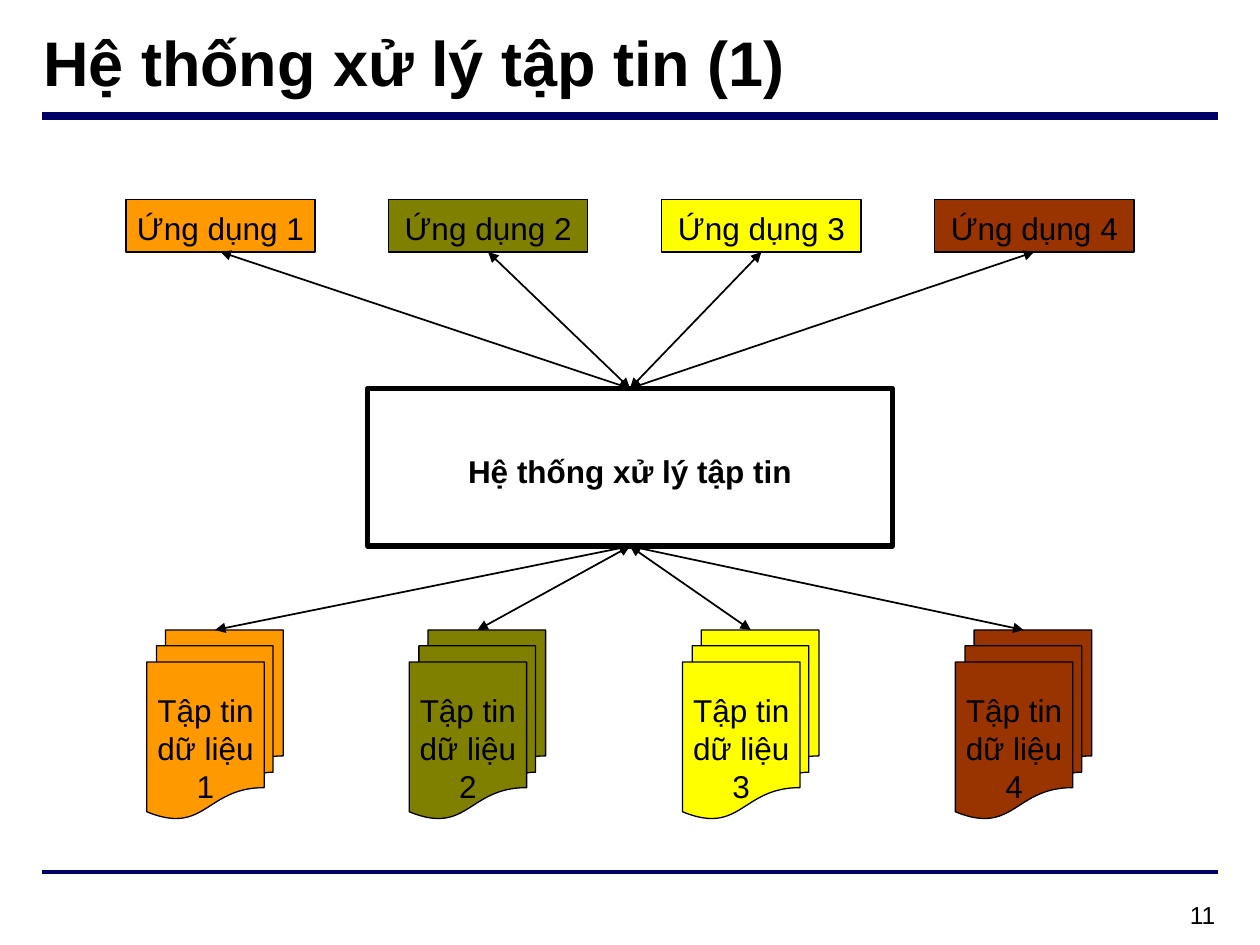
from dataclasses import dataclass

from lxml.etree import SubElement
from pptx import Presentation
from pptx.dml.color import RGBColor
from pptx.enum.shapes import MSO_CONNECTOR, MSO_SHAPE
from pptx.enum.text import MSO_ANCHOR, PP_ALIGN
from pptx.oxml.ns import qn
from pptx.util import Cm, Pt

TITLE = "Hệ thống xử lý tập tin (1)"
HUB = "Hệ thống xử lý tập tin"
PAGE_NUMBER = "11"
COLUMNS = [
    ("Ứng dụng 1", "Tập tin dữ liệu 1", "FF9900", 2.54, 3.81),
    ("Ứng dụng 2", "Tập tin dữ liệu 2", "808000", 7.83, 4.02),
    ("Ứng dụng 3", "Tập tin dữ liệu 3", "FFFF00", 13.34, 4.02),
    ("Ứng dụng 4", "Tập tin dữ liệu 4", "993300", 18.84, 4.02),
]


@dataclass(frozen=True)
class Theme:
    font: str = "Arial"
    ink: str = "000000"
    rule: str = "000066"
    title: float = 36
    body: float = 18
    number: float = 14
    thin: float = 0.75
    arrow: float = 1
    frame: float = 3


THEME = Theme()
RULES = [(2.33, 4.5), (17.58, 2.25)]
RULE_LEFT, RULE_RIGHT = 0.84, 24.55
APP_TOP, APP_HEIGHT = 4.02, 1.06
HUB_BOX = (7.41, 7.83, 10.58, 3.18)
FILE_TOP, FILE_WIDTH, FILE_HEIGHT = 12.7, 2.75, 3.81
FILE_SHIFT = 0.42
FILE_ANCHOR = 0.5
TOP_SITE, BOTTOM_SITE = 0, 2


def write(shape, text, size, bold=False, align=PP_ALIGN.CENTER, top=0.0, side=0.0):
    frame = shape.text_frame
    frame.word_wrap = True
    frame.vertical_anchor = MSO_ANCHOR.MIDDLE
    frame.margin_left = frame.margin_right = Cm(side)
    frame.margin_top, frame.margin_bottom = Cm(top), 0
    paragraph = frame.paragraphs[0]
    paragraph.text = text
    paragraph.alignment = align
    paragraph.font.name = THEME.font
    paragraph.font.size = Pt(size)
    paragraph.font.bold = bold
    paragraph.font.color.rgb = RGBColor.from_string(THEME.ink)


def add_label(slide, box, text, size, **style):
    write(slide.shapes.add_textbox(*map(Cm, box)), text, size, **style)


def add_node(slide, kind, box, text, fill=None, width=THEME.thin, **style):
    shape = slide.shapes.add_shape(kind, *map(Cm, box))
    shape.shadow.inherit = False
    if fill:
        shape.fill.solid()
        shape.fill.fore_color.rgb = RGBColor.from_string(fill)
    else:
        shape.fill.background()
    shape.line.color.rgb = RGBColor.from_string(THEME.ink)
    shape.line.width = Pt(width)
    write(shape, text, THEME.body, **style)
    return shape


def add_line(slide, start, end, color, width, arrows=False):
    line = slide.shapes.add_connector(MSO_CONNECTOR.STRAIGHT, *start, *end)
    line.line.color.rgb = RGBColor.from_string(color)
    line.line.width = Pt(width)
    if arrows:
        outline = line.line._get_or_add_ln()
        for tag in ("a:headEnd", "a:tailEnd"):
            SubElement(outline, qn(tag), type="triangle")
    SubElement(line._element.spPr, qn("a:effectLst"))
    return line


def add_link(slide, start, end):
    return add_line(slide, start, end, THEME.ink, THEME.arrow, arrows=True)


def add_column(slide, hub, column):
    app_text, file_text, color, left, width = column
    app = add_node(slide, MSO_SHAPE.RECTANGLE, (left, APP_TOP, width, APP_HEIGHT),
                   app_text, color, top=0.1)
    file_left = left + FILE_SHIFT
    add_node(slide, MSO_SHAPE.FLOWCHART_MULTIDOCUMENT,
             (file_left, FILE_TOP, FILE_WIDTH, FILE_HEIGHT),
             file_text, color, top=0.43, side=0.18)

    hub_center = hub.left + hub.width // 2
    app_link = add_link(slide, (app.left + app.width // 2, app.top + app.height),
                        (hub_center, hub.top))
    app_link.begin_connect(app, BOTTOM_SITE)
    app_link.end_connect(hub, TOP_SITE)
    file_point = (Cm(file_left + FILE_WIDTH * FILE_ANCHOR), Cm(FILE_TOP))
    file_link = add_link(slide, (hub_center, hub.top + hub.height), file_point)
    file_link.begin_connect(hub, BOTTOM_SITE)


def main():
    presentation = Presentation()
    presentation.slide_width, presentation.slide_height = Cm(25.4), Cm(19.05)
    slide = presentation.slides.add_slide(presentation.slide_layouts[6])

    for top, width in RULES:
        add_line(slide, (Cm(RULE_LEFT), Cm(top)), (Cm(RULE_RIGHT), Cm(top)),
                 THEME.rule, width)
    add_label(slide, (0.87, 0.25, 16.5, 1.83), TITLE, THEME.title,
              bold=True, align=PP_ALIGN.LEFT, top=0.15)
    hub = add_node(slide, MSO_SHAPE.RECTANGLE, HUB_BOX, HUB,
                   width=THEME.frame, bold=True, top=0.15)
    for column in COLUMNS:
        add_column(slide, hub, column)
    add_label(slide, (23.85, 18.11, 0.79, 0.64), PAGE_NUMBER, THEME.number)

    presentation.save("out.pptx")


if __name__ == "__main__":
    main()
